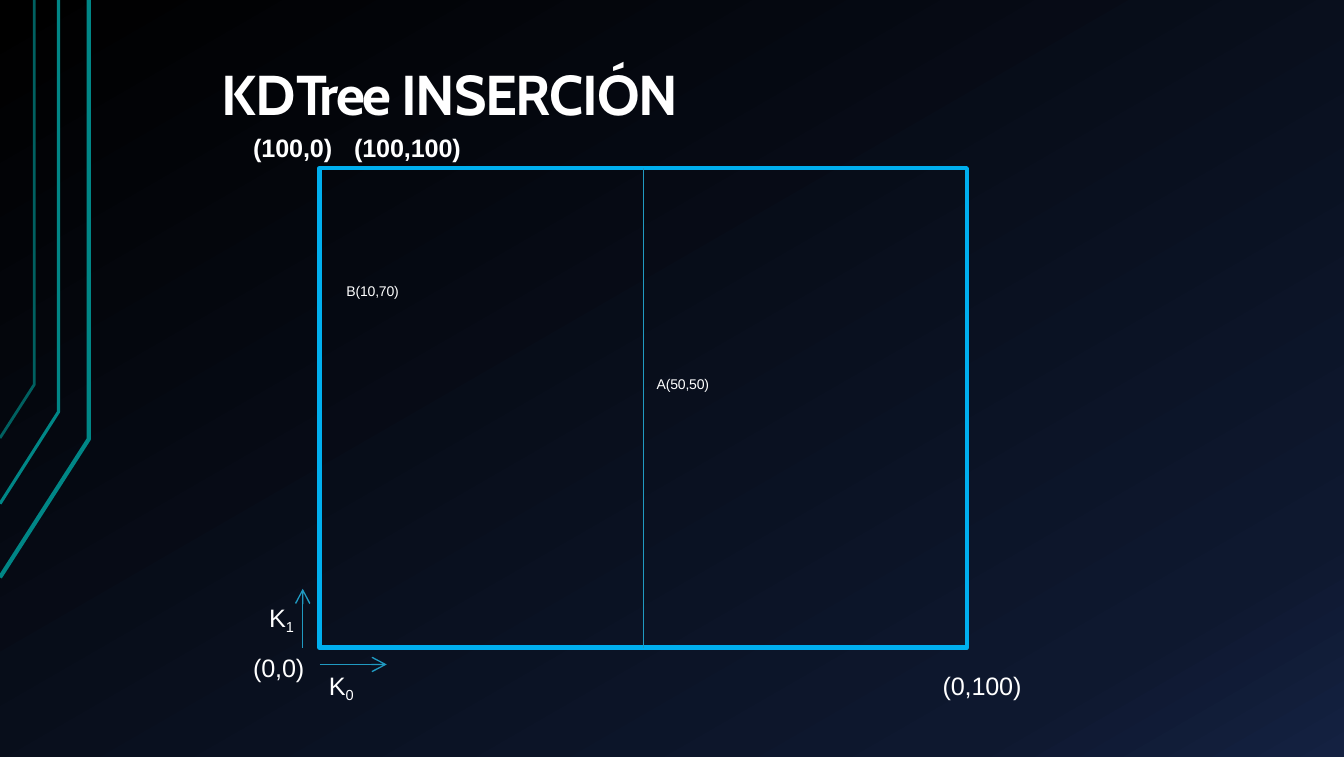
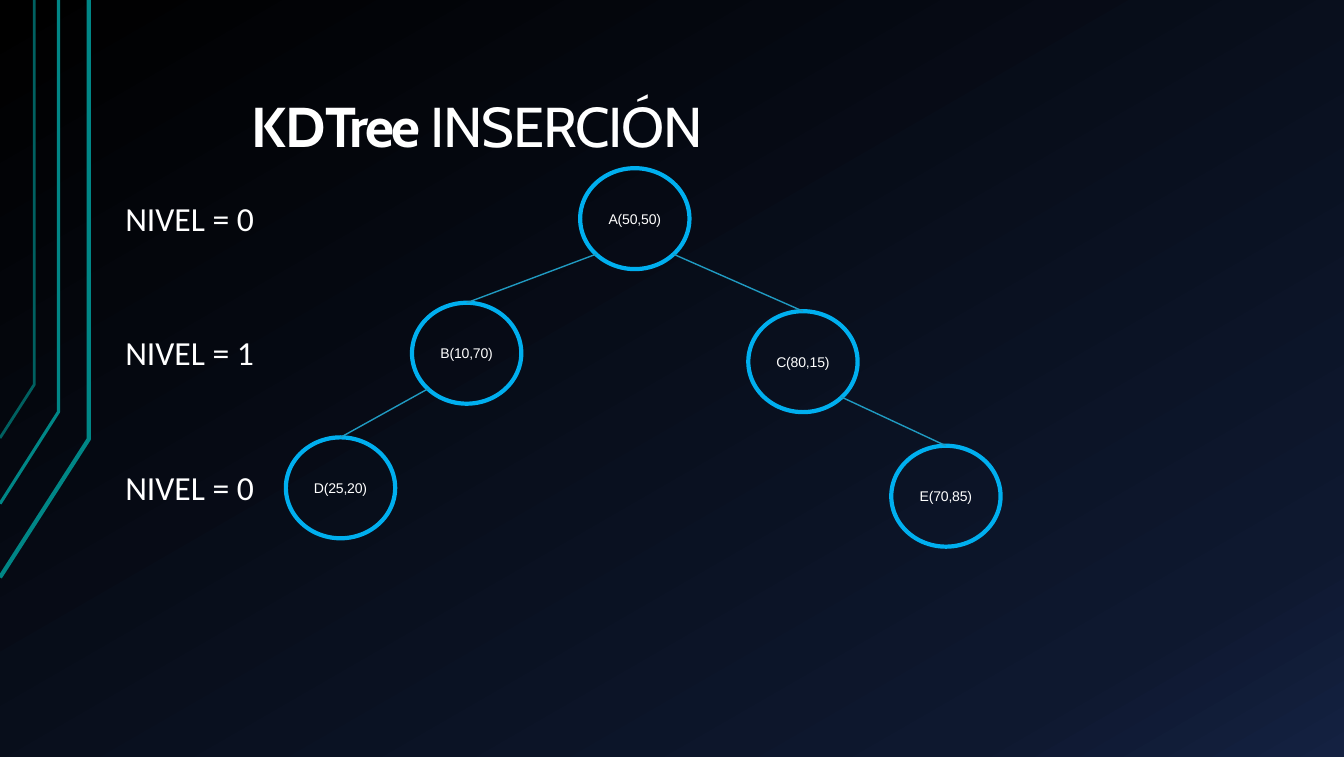
"""Builds two slides on inserting points into a k-d tree: the plane and the tree."""
from copy import deepcopy
from dataclasses import dataclass
from typing import Optional

from pptx import Presentation
from pptx.dml.color import RGBColor as Rgb
from pptx.enum.shapes import MSO_CONNECTOR as Connector, MSO_SHAPE as Preset
from pptx.enum.text import MSO_ANCHOR as Anchor, MSO_AUTO_SIZE as AutoSize, PP_ALIGN as Align
from pptx.oxml.ns import qn
from pptx.oxml.xmlchemy import OxmlElement as Element
from pptx.util import Emu, Inches, Pt

COLORS = {
    "text": "FFFFFF",
    "outline": "00AFEF",
    "edge": "209AC1",
    "band": "008686",
    "faint_band": "006060",
}
BACKDROP = ((0, "000000"), (0.85, "0E182F"), (1, "142141"))
CELL = Inches(1) / 12
NODE_COLS, NODE_ROWS = 13, 12
LEVEL_STEP = 16


@dataclass(frozen=True)
class Span:
    text: str
    size: float = 18
    font: str = "Arial"
    bold: bool = False
    spacing: float = -0.1
    baseline: int = 0


@dataclass(frozen=True)
class Label:
    col: float
    row: float
    cols: float
    spans: tuple


@dataclass(frozen=True)
class Band:
    col: float
    bend: float
    foot: float
    color: str
    weight: float


@dataclass(frozen=True)
class Node:
    text: str
    col: float
    row: float
    parent: Optional[str] = None

    @property
    def center(self) -> tuple:
        return self.col + NODE_COLS / 2, self.row + NODE_ROWS / 2


BANDS = (
    Band(10.56, 52.2, 68.64, "band", 3),
    Band(6.96, 48.96, 59.88, "band", 2.25),
    Band(4.08, 45.72, 52.08, "faint_band", 2),
)
PLANE_LABELS = (
    Label(78.1, 44.6, 8, (Span("A(50,50)", 10),)),
    Label(41.2, 33.6, 8, (Span("B(10,70)", 10),)),
    Label(32, 71.6, 4, (Span("K"), Span("1", baseline=-21000))),
    Label(30.1, 77.6, 8, (Span("(0,0)"),)),
    Label(39.1, 79.7, 4, (Span("K"), Span("0", baseline=-21000))),
    Label(112.1, 79.7, 12, (Span("(0,100)"),)),
)
LEVELS = ("NIVEL = 0", "NIVEL = 1", "NIVEL = 0")
NODES = (
    Node("A(50,50)", 69, 20),
    Node("B(10,70)", 49, 36, "A(50,50)"),
    Node("C(80,15)", 89, 37, "A(50,50)"),
    Node("D(25,20)", 34, 52, "B(10,70)"),
    Node("E(70,85)", 106, 53, "C(80,15)"),
)


def cells(*counts: float) -> list:
    """Turn grid cells into lengths."""
    return [Emu(round(count * CELL)) for count in counts]


def write(paragraph, spans: tuple) -> None:
    """Fill a paragraph with formatted spans."""
    for span in spans:
        run = paragraph.add_run()
        run.text = span.text
        font = run.font
        font.size, font.name, font.bold = Pt(span.size), span.font, span.bold
        font.color.rgb = Rgb.from_string(COLORS["text"])
        properties = run._r.get_or_add_rPr()
        properties.set("spc", str(round(span.spacing * 100)))
        if span.baseline:
            properties.set("baseline", str(span.baseline))


def set_margins(frame, left: float = 0, top: float = 0) -> None:
    """Set the insets of a text frame."""
    frame.margin_left = frame.margin_right = Inches(left)
    frame.margin_top, frame.margin_bottom = Inches(top), Inches(left)


def draw_outline(shape, color: str, weight: float) -> None:
    """Give a shape a plain outline without fill or shadow."""
    shape.shadow.inherit = False
    shape.fill.background()
    shape.line.color.rgb = Rgb.from_string(COLORS[color])
    shape.line.width = Pt(weight)


def add_label(slide, label: Label) -> None:
    """Place a line of text on the grid."""
    frame = slide.shapes.add_textbox(*cells(label.col, label.row, label.cols, 3.5)).text_frame
    frame.word_wrap = True
    set_margins(frame)
    write(frame.paragraphs[0], label.spans)


def add_edge(slide, start: tuple, end: tuple, arrow: bool = False):
    """Draw a thin line, optionally with an arrowhead at its end."""
    edge = slide.shapes.add_connector(Connector.STRAIGHT, *cells(*start, *end))
    edge.line.color.rgb = Rgb.from_string(COLORS["edge"])
    edge.line.width = Pt(1)
    if arrow:
        head = Element("a:tailEnd")
        for key, value in (("type", "arrow"), ("w", "lg"), ("len", "lg")):
            head.set(key, value)
        edge.line._get_or_add_ln().append(head)
    edge._element.spPr.append(Element("a:effectLst"))
    return edge


def set_title(slide, place: tuple, anchor: Anchor, bold_end: bool):
    """Move the title placeholder and write the shared heading."""
    title = slide.shapes.title
    title.left, title.top, title.width, title.height = cells(*place)
    frame = title.text_frame
    frame.auto_size, frame.word_wrap = AutoSize.NONE, True
    frame.vertical_anchor = anchor
    heading = frame.paragraphs[0]
    heading.alignment = Align.LEFT
    write(heading, (
        Span("KD", 40, "Cabin", True, -0.6),
        Span("Tree ", 40, "Cabin", True, -1.8),
        Span("INSERCIÓN", 40, "Cabin", bold_end, -0.9),
    ))
    return frame


def paint_master(master) -> None:
    """Give every slide the dark gradient."""
    fill = master.background.fill
    fill.gradient()
    stops = master.element.find(".//" + qn("a:gsLst"))
    stops.append(deepcopy(stops[-1]))
    for stop, (position, color) in zip(fill.gradient_stops, BACKDROP):
        stop.position = position
        stop.color.rgb = Rgb.from_string(color)
    fill.gradient_angle = 300


def add_bands(slide) -> None:
    """Draw the bent side lines and hand them to the slide's layout."""
    for number, band in enumerate(BANDS, start=100):
        builder = slide.shapes.build_freeform(*cells(0, band.foot))
        corners = ((band.col, band.bend), (band.col, 0))
        builder.add_line_segments([cells(*corner) for corner in corners], close=False)
        side = builder.convert_to_shape()
        draw_outline(side, band.color, band.weight)
        side.element.nvSpPr.cNvPr.set("id", str(number))
        slide.slide_layout.shapes.element.append(side.element)


def build_plane(slide) -> None:
    """Draw the plane split by the first point."""
    frame = set_title(slide, (26.4, 5.4, 101.8, 13.9), Anchor.BOTTOM, True)
    set_margins(frame, top=0.13)
    frame.paragraphs[0].space_before = Pt(9.2)
    corners = frame.add_paragraph()
    corners.alignment = Align.LEFT
    corners.space_before = Pt(3.8)
    properties = corners._p.get_or_add_pPr()
    properties.set("marL", str(Inches(0.31)))
    properties.set("indent", "0")
    stops, stop = Element("a:tabLst"), Element("a:tab")
    stop.set("pos", str(Inches(1.64)))
    stop.set("algn", "l")
    stops.append(stop)
    properties.append(stops)
    write(corners, (Span("(100,0)\t(100,100)", bold=True),))

    plane = slide.shapes.add_shape(Preset.RECTANGLE, *cells(38, 20, 77, 57))
    draw_outline(plane, "outline", 3)
    split = add_edge(slide, (76.5, 20), (76.5, 77))
    split.begin_connect(plane, 0)
    split.end_connect(plane, 2)
    add_edge(slide, (36, 77), (36, 70), arrow=True)
    add_edge(slide, (38, 79), (46, 79), arrow=True)
    for label in PLANE_LABELS:
        add_label(slide, label)


def build_tree(slide) -> None:
    """Draw the tree with its levels."""
    set_margins(set_title(slide, (29.3, 10.3, 63.4, 9.2), Anchor.TOP, False), 0.05, 0.05)
    ovals = {}
    places = {node.text: node for node in NODES}
    for node in NODES:
        oval = slide.shapes.add_shape(
            Preset.OVAL, *cells(node.col, node.row, NODE_COLS, NODE_ROWS))
        draw_outline(oval, "outline", 3)
        frame = oval.text_frame
        frame.word_wrap = False
        frame.vertical_anchor = Anchor.MIDDLE
        set_margins(frame)
        frame.paragraphs[0].alignment = Align.CENTER
        write(frame.paragraphs[0], (Span(node.text, 10),))
        ovals[node.text] = oval
        if node.parent:
            col, row = places[node.parent].center
            side = 1 if node.center[0] > col else -1
            start = (col + side * NODE_COLS * 0.35, row + NODE_ROWS * 0.35)
            edge = add_edge(slide, start, (node.center[0], node.row))
            edge.end_connect(ovals[node.text], 0)
    for level, text in enumerate(LEVELS):
        add_label(slide, Label(14.9, 23.5 + level * LEVEL_STEP, 18,
                               (Span(text, 24, "Calibri", spacing=0),)))


def main() -> None:
    """Build and save the presentation."""
    deck = Presentation()
    deck.slide_width, deck.slide_height = Inches(13.32), Inches(7.5)
    paint_master(deck.slide_master)
    title_only = deck.slide_layouts[5]
    plane_slide, tree_slide = (deck.slides.add_slide(title_only) for _ in range(2))
    add_bands(plane_slide)
    build_plane(plane_slide)
    build_tree(tree_slide)
    deck.save("out.pptx")


if __name__ == "__main__":
    main()
